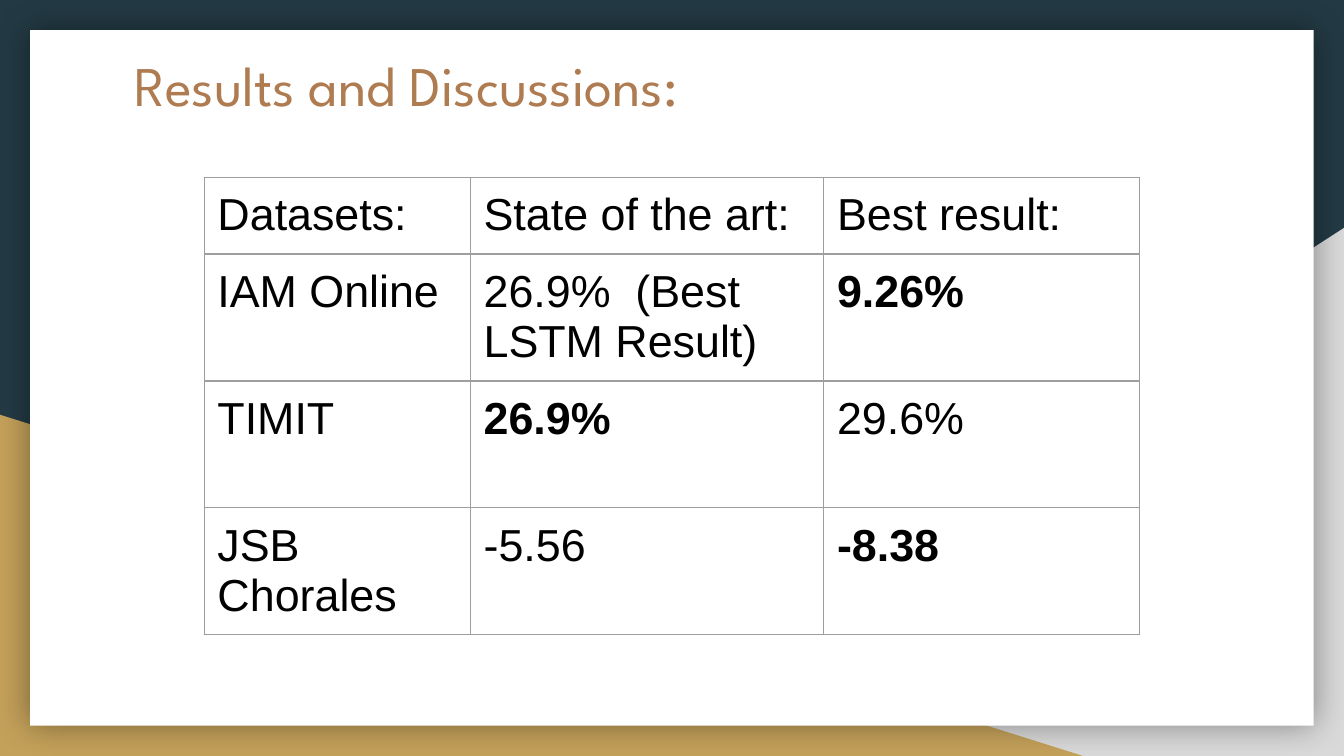
"""Build a results slide with a bordered comparison table."""
import pptx
import pptx.dml.color
import pptx.enum.shapes
import pptx.enum.text
import pptx.oxml
import pptx.oxml.ns
import pptx.util
from pptx.util import Cm, Pt

TITLE = "Results and Discussions:"
ROWS = [
    ("Datasets:", "State of the art:", "Best result:"),
    ("IAM Online", "26.9%  (Best LSTM Result)", "9.26%"),
    ("TIMIT", "26.9%", "29.6%"),
    ("JSB Chorales", "-5.56", "-8.38"),
]
BOLD_CELLS = {(1, 2), (2, 1), (3, 2)}
COL_WIDTHS = (5.03, 6.68, 5.97)
ROW_HEIGHTS = (1.45, 2.4, 2.4, 2.4)
TABLE_LEFT, TABLE_TOP = 3.86, 3.35
SLIDE_W, SLIDE_H = 25.4, 14.29
PANEL_MARGIN = 0.57
INSET = 0.25
COLORS = {
    "background": "233A44",
    "grey": "D9D9D9",
    "gold": "C4A15A",
    "panel": "FFFFFF",
    "title": "AF7B51",
    "text": "000000",
    "border": "9E9E9E",
}
NS = pptx.oxml.ns.nsdecls("a")


def rgb(name):
    return pptx.dml.color.RGBColor.from_string(COLORS[name])


def add_block(s, kind, color, left, top, width, height):
    sp = s.shapes.add_shape(kind, Cm(left), Cm(top), Cm(width), Cm(height))
    sp.shadow.inherit = False
    sp.fill.solid()
    sp.fill.fore_color.rgb = rgb(color)
    sp.line.fill.background()
    return sp


def add_backdrop(s):
    shape = pptx.enum.shapes.MSO_SHAPE
    s.background.fill.solid()
    s.background.fill.fore_color.rgb = rgb("background")
    grey_w, grey_h, gold_w, gold_h = 15.44, 9.98, 20.47, 6.45
    grey = add_block(s, shape.RIGHT_TRIANGLE, "grey",
                     SLIDE_W - grey_w, SLIDE_H - grey_h, grey_w, grey_h)
    grey._element.spPr.xfrm.set("flipH", "1")
    add_block(s, shape.RIGHT_TRIANGLE, "gold", 0, SLIDE_H - gold_h, gold_w, gold_h)
    panel = add_block(s, shape.RECTANGLE, "panel", PANEL_MARGIN, PANEL_MARGIN,
                      SLIDE_W - 2 * PANEL_MARGIN, SLIDE_H - 2 * PANEL_MARGIN)
    effects = panel._element.spPr.find(pptx.oxml.ns.qn("a:effectLst"))
    effects.append(pptx.oxml.parse_xml(
        f'<a:outerShdw {NS} blurRad="{Pt(18)}" dist="0" dir="0" algn="ctr" rotWithShape="0">'
        '<a:srgbClr val="000000"><a:alpha val="40000"/></a:srgbClr></a:outerShdw>'))


def set_insets(target):
    target.margin_left = target.margin_right = Cm(INSET)
    target.margin_top = target.margin_bottom = Cm(INSET)


def set_font(p, name, size, color, bold=False):
    p.font.name = name
    p.font.size = Pt(size)
    p.font.bold = bold
    p.font.color.rgb = rgb(color)


def add_title(s):
    title = s.shapes.title
    s.shapes._spTree.append(title._element)
    title.left, title.top, title.width, title.height = Cm(2.29), Cm(0.71), Cm(20.85), Cm(2.64)
    tf = title.text_frame
    tf.text = TITLE
    tf.word_wrap = True
    tf.auto_size = pptx.enum.text.MSO_AUTO_SIZE.NONE
    tf.vertical_anchor = pptx.enum.text.MSO_ANCHOR.TOP
    set_insets(tf)
    p = tf.paragraphs[0]
    p.alignment = pptx.enum.text.PP_ALIGN.LEFT
    set_font(p, "League Spartan", 30, "title")


def add_borders(cell):
    props = cell._tc.get_or_add_tcPr()
    for i, side in enumerate(("lnL", "lnR", "lnT", "lnB")):
        props.insert(i, pptx.oxml.parse_xml(
            f'<a:{side} {NS} w="{Pt(0.75)}"><a:solidFill>'
            f'<a:srgbClr val="{COLORS["border"]}"/></a:solidFill></a:{side}>'))


def add_results(s):
    table = s.shapes.add_table(
        len(ROWS), len(COL_WIDTHS), Cm(TABLE_LEFT), Cm(TABLE_TOP),
        Cm(sum(COL_WIDTHS)), Cm(sum(ROW_HEIGHTS))).table
    table.first_row = table.horz_banding = False
    for col, width in zip(table.columns, COL_WIDTHS):
        col.width = Cm(width)
    for row, height in zip(table.rows, ROW_HEIGHTS):
        row.height = Cm(height)
    for r, texts in enumerate(ROWS):
        for c, text in enumerate(texts):
            cell = table.cell(r, c)
            cell.text = text
            cell.fill.background()
            set_insets(cell)
            add_borders(cell)
            set_font(cell.text_frame.paragraphs[0], "Arial", 24, "text", (r, c) in BOLD_CELLS)


def main():
    prs = pptx.Presentation()
    prs.slide_width, prs.slide_height = Cm(SLIDE_W), Cm(SLIDE_H)
    s = prs.slides.add_slide(prs.slide_layouts[5])
    add_backdrop(s)
    add_title(s)
    add_results(s)
    prs.save("out.pptx")


if __name__ == "__main__":
    main()
